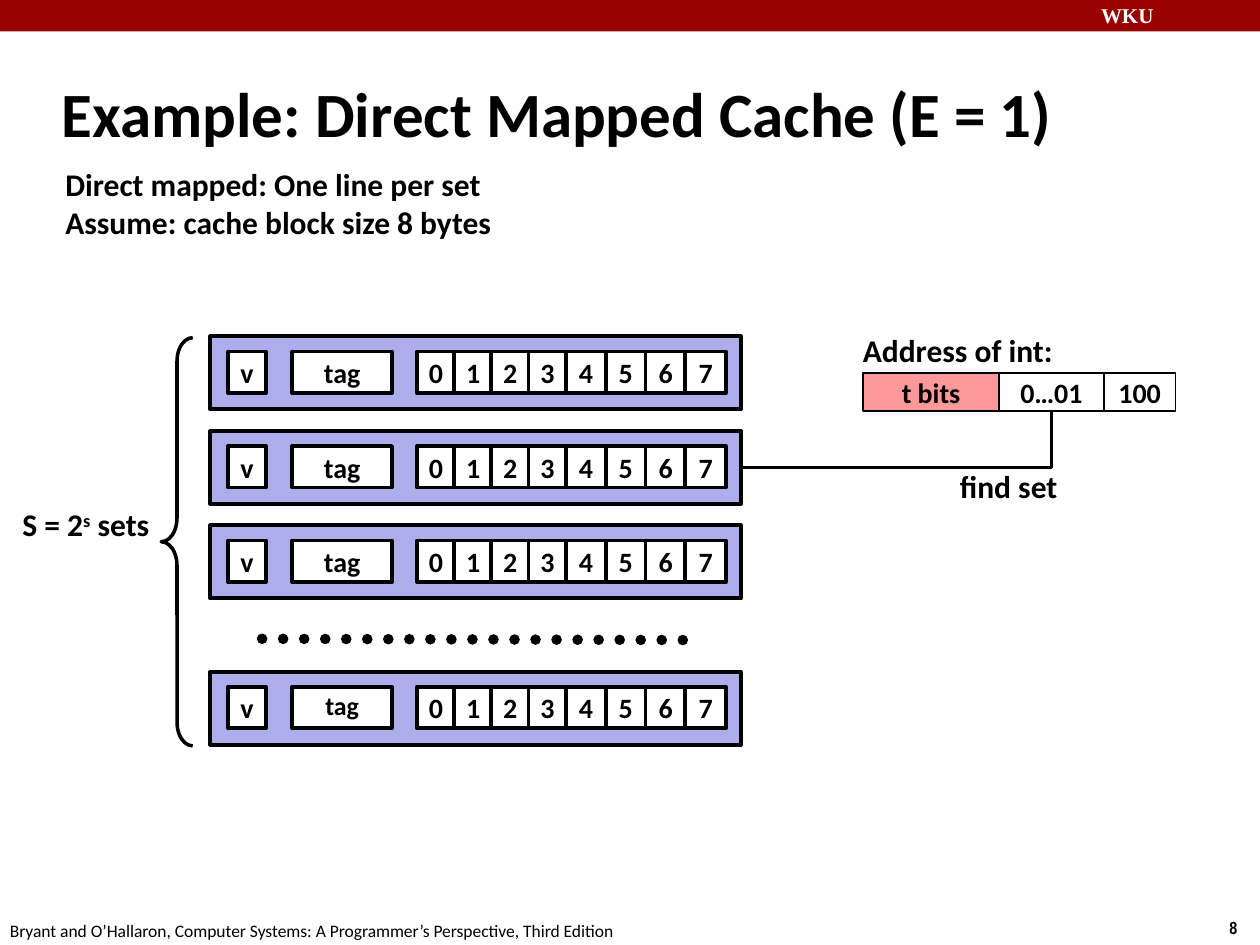
from dataclasses import dataclass

from lxml.etree import SubElement
from pptx import Presentation
from pptx.dml.color import RGBColor
from pptx.enum.dml import MSO_LINE
from pptx.enum.shapes import MSO_CONNECTOR, MSO_SHAPE
from pptx.enum.text import MSO_ANCHOR, MSO_AUTO_SIZE, PP_ALIGN
from pptx.oxml.ns import qn
from pptx.util import Inches, Pt


@dataclass(frozen=True)
class Theme:
    black: RGBColor = RGBColor(0x00, 0x00, 0x00)
    white: RGBColor = RGBColor(0xFF, 0xFF, 0xFF)
    banner: RGBColor = RGBColor(0x99, 0x00, 0x00)
    cache_line: RGBColor = RGBColor(0xAD, 0xAD, 0xEB)
    tag_bits: RGBColor = RGBColor(0xFF, 0x99, 0x99)
    font: str = "Calibri"
    title_size: float = 36
    label_size: float = 18
    cell_size: float = 16
    small_tag_size: float = 14.8
    banner_size: float = 12
    footer_size: float = 10


theme = Theme()


def write_text(shape, text, size=theme.label_size, font=theme.font, color=theme.black,
               bold=True, align=PP_ALIGN.LEFT, anchor=MSO_ANCHOR.TOP, wrap=False,
               grow=True, line_spacing=None):
    """Write one paragraph per line of text; a part between ^ marks is raised."""
    frame = shape.text_frame
    frame.word_wrap = wrap
    frame.auto_size = MSO_AUTO_SIZE.SHAPE_TO_FIT_TEXT if grow else MSO_AUTO_SIZE.NONE
    frame.vertical_anchor = anchor
    for number, line in enumerate(text.split("\n")):
        paragraph = frame.add_paragraph() if number else frame.paragraphs[0]
        paragraph.alignment = align
        if line_spacing:
            paragraph.line_spacing = line_spacing
        for position, part in enumerate(line.split("^")):
            run = paragraph.add_run()
            run.text = part
            run.font.name = font
            run.font.size = Pt(size)
            run.font.bold = bold
            run.font.color.rgb = color
            if position % 2:
                run.font._element.set("baseline", "30000")


def add_box(left, top, width, height, fill, line_width=0, text="", **text_format):
    box = slide.shapes.add_shape(MSO_SHAPE.RECTANGLE, Inches(left), Inches(top),
                                 Inches(width), Inches(height))
    box.shadow.inherit = False
    box.fill.solid()
    box.fill.fore_color.rgb = fill
    if line_width:
        box.line.color.rgb = theme.black
        box.line.width = Pt(line_width)
    else:
        box.line.fill.background()
    if text:
        cell_format = dict(size=theme.cell_size, align=PP_ALIGN.CENTER,
                           anchor=MSO_ANCHOR.MIDDLE, grow=False)
        write_text(box, text, **(cell_format | text_format))
    return box


presentation = Presentation()
presentation.slide_width = Inches(10)
presentation.slide_height = Inches(7.5)
slide = presentation.slides.add_slide(presentation.slide_layouts[5])

# Banner and title
add_box(0, 0, 10, 0.25, theme.banner)
title = slide.shapes.title
title.left, title.top = Inches(0.39), Inches(0.48)
title.width, title.height = Inches(8.3), Inches(0.83)
write_text(title, "Example: Direct Mapped Cache (E = 1)", size=theme.title_size,
           anchor=MSO_ANCHOR.MIDDLE, wrap=True, grow=False)

# Free-standing text
labels = [
    (8.64, -0.03, 1.43, 0.3, "WKU",
     dict(size=theme.banner_size, font="Times New Roman", color=theme.white, wrap=True)),
    (9.66, 7.23, 0.34, 0.27, "8", dict(size=theme.footer_size, font="Arial Narrow")),
    (-0.02, 7.25, 5.08, 0.27,
     "Bryant and O’Hallaron, Computer Systems: A Programmer’s Perspective, Third Edition",
     dict(size=theme.footer_size, bold=False)),
    (0.42, 1.26, 3.61, 0.71,
     "Direct mapped: One line per set\nAssume: cache block size 8 bytes", dict(wrap=True)),
    (0.08, 3.96, 1.23, 0.4, "S = 2^s^ sets", {}),
    (6.75, 2.58, 1.72, 0.4, "Address of int:", {}),
    (7.52, 3.66, 0.98, 0.4, "find set", {}),
]
for left, top, width, height, text, text_format in labels:
    label = slide.shapes.add_textbox(Inches(left), Inches(top), Inches(width), Inches(height))
    write_text(label, text, **text_format)

# Brace spanning all sets
brace = slide.shapes.add_shape(MSO_SHAPE.LEFT_BRACE, Inches(1.28), Inches(2.68),
                               Inches(0.25), Inches(3.24))
brace.adjustments[0] = 0.75
brace.shadow.inherit = False
brace.fill.background()
brace.line.color.rgb = theme.black
brace.line.width = Pt(2)

# Address fields
address_fields = [("t bits", 1.08, theme.tag_bits), ("0…01", 0.83, theme.white),
                  ("100", 0.57, theme.white)]
address_boxes = []
left = 6.85
for text, width, fill in address_fields:
    address_boxes.append(add_box(left, 2.96, width, 0.3, fill, 1, text, wrap=True))
    left += width
set_index = address_boxes[1]

# Cache sets: valid bit, tag and eight bytes each
cells = [("v", 1.81, 0.3), ("tag", 2.32, 0.79)]
cells += [(str(byte), 3.31 + byte * 1.18 / 4, 0.3) for byte in range(4)]
cells += [(str(byte), 4.49 + (byte - 4) * 0.95 / 3, 0.32) for byte in range(4, 8)]
set_tops = [2.67, 3.42, 4.17, 5.33]
cache_sets = []
for top in set_tops:
    cache_sets.append(add_box(1.67, top, 4.21, 0.58, theme.cache_line, 2.25))
    for text, left, width in cells:
        is_small = text == "tag" and top == set_tops[-1]
        small_format = dict(size=theme.small_tag_size, line_spacing=0.9) if is_small else {}
        add_box(left, top + 0.12, width, 0.33, theme.white, 2.25, text, **small_format)

# Dotted line for the omitted sets, and the link from the selected set to its index
omitted_sets = slide.shapes.add_connector(MSO_CONNECTOR.STRAIGHT, Inches(2.08), Inches(5.07),
                                          Inches(5.5), Inches(5.08))
find_set = slide.shapes.add_connector(MSO_CONNECTOR.ELBOW, Inches(5.88), Inches(3.71),
                                      Inches(8.35), Inches(3.26))
find_set.begin_connect(cache_sets[1], 3)
find_set.end_connect(set_index, 2)
find_set._element.spPr.find(qn("a:prstGeom")).set("prst", "bentConnector2")
for connector, width in [(omitted_sets, 6), (find_set, 2)]:
    connector.line.color.rgb = theme.black
    connector.line.width = Pt(width)
    SubElement(connector._element.spPr, qn("a:effectLst"))
omitted_sets.line.dash_style = MSO_LINE.ROUND_DOT
omitted_sets.line._get_or_add_ln().set("cap", "rnd")

presentation.save("out.pptx")
